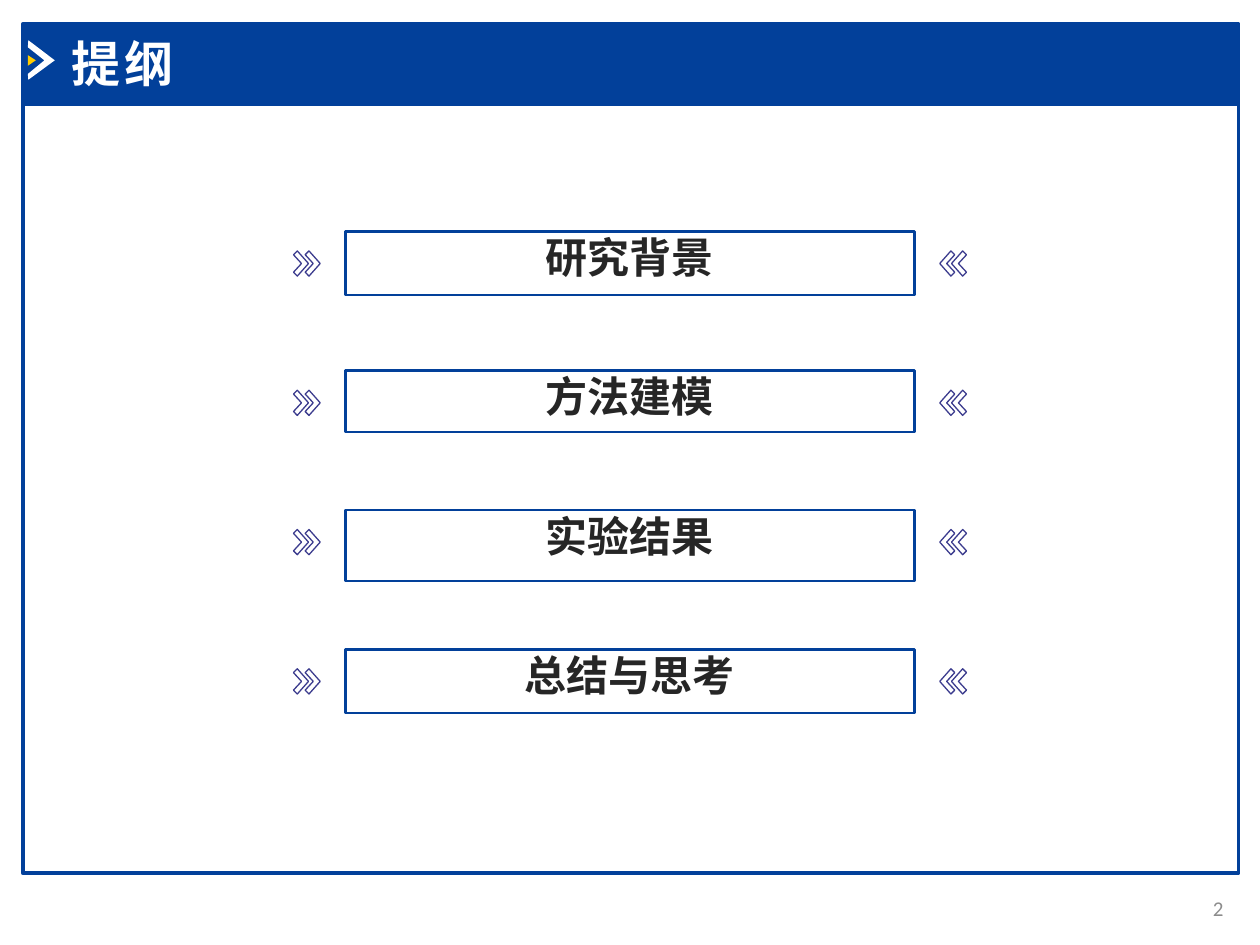
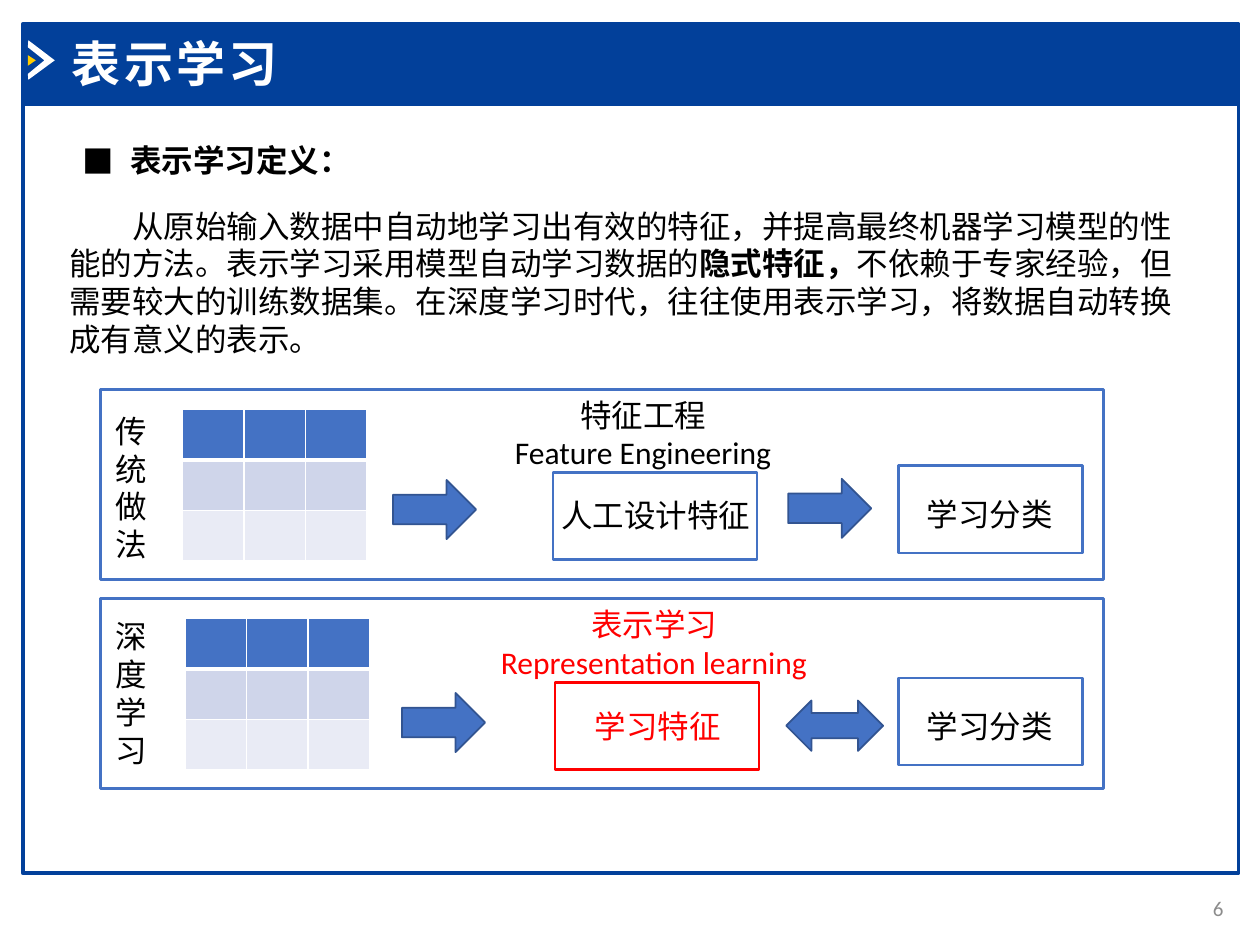
"""Build the outline slide and the representation learning slide."""
from lxml import etree
from pptx import Presentation
from pptx.dml.color import RGBColor
from pptx.enum.shapes import MSO_SHAPE
from pptx.enum.text import MSO_ANCHOR, MSO_AUTO_SIZE, PP_ALIGN
from pptx.oxml.ns import qn
from pptx.util import Pt

RECTANGLE = MSO_SHAPE.RECTANGLE
RIGHT_ARROW = MSO_SHAPE.RIGHT_ARROW
DOUBLE_ARROW = MSO_SHAPE.LEFT_RIGHT_ARROW
LEFT, CENTER, RIGHT = PP_ALIGN.LEFT, PP_ALIGN.CENTER, PP_ALIGN.RIGHT
TOP, MIDDLE = MSO_ANCHOR.TOP, MSO_ANCHOR.MIDDLE
NO_AUTOFIT = MSO_AUTO_SIZE.NONE

LATIN, CHINESE = "Calibri", "Noto Sans CJK SC"
NAVY, INDIGO, YELLOW = "02409A", "3C3C8E", "FFCC00"
BLUE, DARK_BLUE, RED = "4472C4", "325491", "FF0000"
WHITE, BLACK, CHARCOAL, GRAY = "FFFFFF", "000000", "262626", "8C8C8C"
TABLE_ROW_FILLS = (BLUE, "CFD5EA", "E9EBF5")
SLIDE_WIDTH, SLIDE_HEIGHT = 720, 540


def color(hex_string):
    """Return the colour for a hex string."""
    return RGBColor.from_string(hex_string)


def write_text(shape, paragraphs, size=18, font=LATIN, fill=BLACK, bold=False,
               align=LEFT, anchor=TOP, wrap=True, spacing=0,
               indent=0, bullet=None):
    """Write paragraphs, each a string or a list of (text, bold) runs."""
    frame = shape.text_frame
    frame.auto_size = NO_AUTOFIT
    frame.word_wrap = wrap
    frame.vertical_anchor = anchor
    frame.margin_left = frame.margin_right = Pt(7.2)
    frame.margin_bottom = Pt(3.6)
    frame.margin_top = Pt(0 if font == CHINESE else 3.6)
    for index, content in enumerate(paragraphs):
        paragraph = frame.add_paragraph() if index else frame.paragraphs[0]
        paragraph.alignment = align
        paragraph.space_before = Pt(0)
        properties = paragraph._p.get_or_add_pPr()
        if indent:
            properties.set("indent", str(Pt(indent)))
        if bullet:
            properties.set("marL", str(Pt(-indent)))
            etree.SubElement(properties, qn("a:buFont"), typeface=CHINESE)
            etree.SubElement(properties, qn("a:buChar"), char=bullet)
        runs = [(content, bold)] if isinstance(content, str) else content
        for text, run_bold in runs:
            run = paragraph.add_run()
            run.text = text
            run.font.size = Pt(size)
            run.font.bold = run_bold
            run.font.color.rgb = color(fill)
            run.font.name = font
            run_properties = run._r.get_or_add_rPr()
            etree.SubElement(run_properties, qn("a:ea"), typeface=font)
            if spacing:
                run_properties.set("spc", str(spacing * 100))


class Deck:
    """Hold the presentation, its shared style and the current slide."""

    def __init__(self):
        """Start an empty presentation."""
        self.presentation = Presentation()
        self.presentation.slide_width = Pt(SLIDE_WIDTH)
        self.presentation.slide_height = Pt(SLIDE_HEIGHT)
        self.slide = None

    def add_slide(self, title, number):
        """Add a slide with the frame, title band, marker and page number."""
        layout = self.presentation.slide_layouts[5]
        self.slide = self.presentation.slides.add_slide(layout)
        self.shape(RECTANGLE, 13, 59.8, 694.8, 439.2, line=NAVY, line_width=2)
        self.shape(RECTANGLE, 13, 13.7, 694.8, 46.1, NAVY, NAVY, 2)
        self.outline([(16.2, 23), (31.3, 34.5), (16.2, 45.6), (15.9, 42.3),
                      (25.4, 34.5), (15.9, 27)], fill=WHITE)
        self.outline([(15.9, 31.5), (20.5, 34.5), (15.9, 37.6)], fill=YELLOW)
        self.text([str(number)], 663.8, 504.7, 42.5, 28.8, size=12, fill=GRAY,
                  align=RIGHT, anchor=MIDDLE)
        heading = self.slide.shapes.title
        heading.left, heading.top = Pt(33.8), Pt(15.8)
        heading.width, heading.height = Pt(256.3), Pt(41)
        write_text(heading, [title], size=28, fill=WHITE, bold=True, spacing=2)
        heading.element.getparent().append(heading.element)

    def paint(self, shape, fill, line, line_width):
        """Set fill and line of a shape and drop its shadow."""
        shape.shadow.inherit = False
        if fill:
            shape.fill.solid()
            shape.fill.fore_color.rgb = color(fill)
        else:
            shape.fill.background()
        if line:
            shape.line.color.rgb = color(line)
            shape.line.width = Pt(line_width)
        else:
            shape.line.fill.background()
        return shape

    def shape(self, kind, left, top, width, height, fill=None, line=None,
              line_width=1.5):
        """Add a preset shape."""
        shape = self.slide.shapes.add_shape(
            kind, Pt(left), Pt(top), Pt(width), Pt(height))
        return self.paint(shape, fill, line, line_width)

    def arrow(self, kind, left, top, width=47.5, height=33.8):
        """Add a block arrow."""
        self.shape(kind, left, top, width, height, BLUE, DARK_BLUE, 1)

    def outline(self, points, fill=None, line=None, line_width=0.75):
        """Add a closed polygon through the points."""
        corners = [(Pt(x), Pt(y)) for x, y in points]
        builder = self.slide.shapes.build_freeform(*corners[0])
        builder.add_line_segments(corners[1:], close=True)
        self.paint(builder.convert_to_shape(), fill, line, line_width)

    def text(self, paragraphs, left, top, width, height, **style):
        """Add a text box."""
        box = self.slide.shapes.add_textbox(
            Pt(left), Pt(top), Pt(width), Pt(height))
        write_text(box, paragraphs, **style)

    def data_table(self, left, top, columns=3):
        """Add an empty table with a header row and shaded rows."""
        rows = len(TABLE_ROW_FILLS)
        table = self.slide.shapes.add_table(
            rows, columns, Pt(left), Pt(top), Pt(105.3), Pt(86.4)).table
        for row, fill in enumerate(TABLE_ROW_FILLS):
            for column in range(columns):
                cell = table.cell(row, column)
                cell.margin_top = cell.margin_bottom = Pt(0)
                for side in "LRTB":
                    under_header = (row, side) in ((0, "B"), (1, "T"))
                    self.border(cell, side, 3 if under_header else 1)
                cell.fill.solid()
                cell.fill.fore_color.rgb = color(fill)

    def border(self, cell, side, width):
        """Draw one white border of a table cell."""
        properties = cell._tc.get_or_add_tcPr()
        line = etree.SubElement(properties, qn(f"a:ln{side}"), w=str(Pt(width)))
        solid = etree.SubElement(line, qn("a:solidFill"))
        etree.SubElement(solid, qn("a:srgbClr"), val=WHITE)


def build_outline(deck):
    """Build the outline with a pair of chevrons on both sides of each topic."""
    deck.add_slide("提纲", 2)
    chevron = [(2.2, -7.2), (0, -5), (4.6, 0), (0, 5), (2.2, 7.2), (8.6, 0)]
    topics = [("研究背景", 36.4), ("方法建模", 35), ("实验结果", 40.6),
              ("总结与思考", 36.4)]
    for index, (topic, height) in enumerate(topics):
        top = 132.3 + 79.6 * index
        box = deck.shape(RECTANGLE, 197.3, top, 325.4, height, line=NAVY)
        write_text(box, [topic], size=24, font=CHINESE, fill=CHARCOAL,
                   bold=True, align=CENTER)
        for left in (167.7, 174.4):
            points = [(left + x, top + 18.3 + y) for x, y in chevron]
            deck.outline(points, line=INDIGO)
            deck.outline([(SLIDE_WIDTH - x, y) for x, y in points], line=INDIGO)


def build_representation(deck):
    """Build the definition and the comparison of the two approaches."""
    deck.add_slide("表示学习", 6)
    deck.text([[
        ("从原始输入数据中自动地学习出有效的特征，并提高最终机器学习模型的性能的方法。"
         "表示学习采用模型自动学习数据的", False),
        ("隐式特征，", True),
        ("不依赖于专家经验，但需要较大的训练数据集。在深度学习时代，往往使用表示学习，"
         "将数据自动转换成有意义的表示。", False)]],
        32.4, 114.5, 652.3, 94.3, indent=36)
    deck.text(["表示学习定义："], 40.3, 80.6, 169.2, 28.8, font=CHINESE,
              bold=True, wrap=False, indent=-27, bullet="■")

    for panel_top in (222.5, 342):
        deck.shape(RECTANGLE, 57.6, panel_top, 573.1, 108.7, line=BLUE)
    deck.data_table(104.4, 234)
    deck.data_table(105.8, 353.5)
    for label, top in (("传统做法", 231.8), ("深度学习", 349.2)):
        deck.text([label], 59, top, 33.8, 94.3)

    deck.arrow(RIGHT_ARROW, 224.6, 274.3)
    deck.arrow(RIGHT_ARROW, 229.7, 396)
    deck.arrow(RIGHT_ARROW, 450.4, 273.6)
    deck.arrow(DOUBLE_ARROW, 449.3, 400.3, 55.4, 28.8)

    deck.shape(RECTANGLE, 316.1, 270, 116.6, 49.9, line=BLUE)
    deck.text(["特征工程", "Feature Engineering"], 285.8, 222.5, 163.4, 51.1,
              align=CENTER)
    deck.text(["人工设计特征"], 293, 280.1, 163.4, 28.8, align=CENTER)
    deck.shape(RECTANGLE, 317.2, 390, 116.6, 49.9, line=RED)
    deck.text(["表示学习", "Representation learning"], 270, 342, 207.4, 51.1,
              fill=RED, align=CENTER)
    deck.text(["学习特征"], 323.3, 400.3, 105.1, 28.8, fill=RED, align=CENTER)
    for box_top, text_top in ((266.2, 279.4), (387.4, 400.3)):
        deck.shape(RECTANGLE, 513.4, box_top, 105.1, 49.9, line=BLUE)
        deck.text(["学习分类"], 519.8, text_top, 91.4, 28.8, align=CENTER)


def main():
    """Build both slides and save the file."""
    deck = Deck()
    build_outline(deck)
    build_representation(deck)
    deck.presentation.save("out.pptx")


if __name__ == "__main__":
    main()
